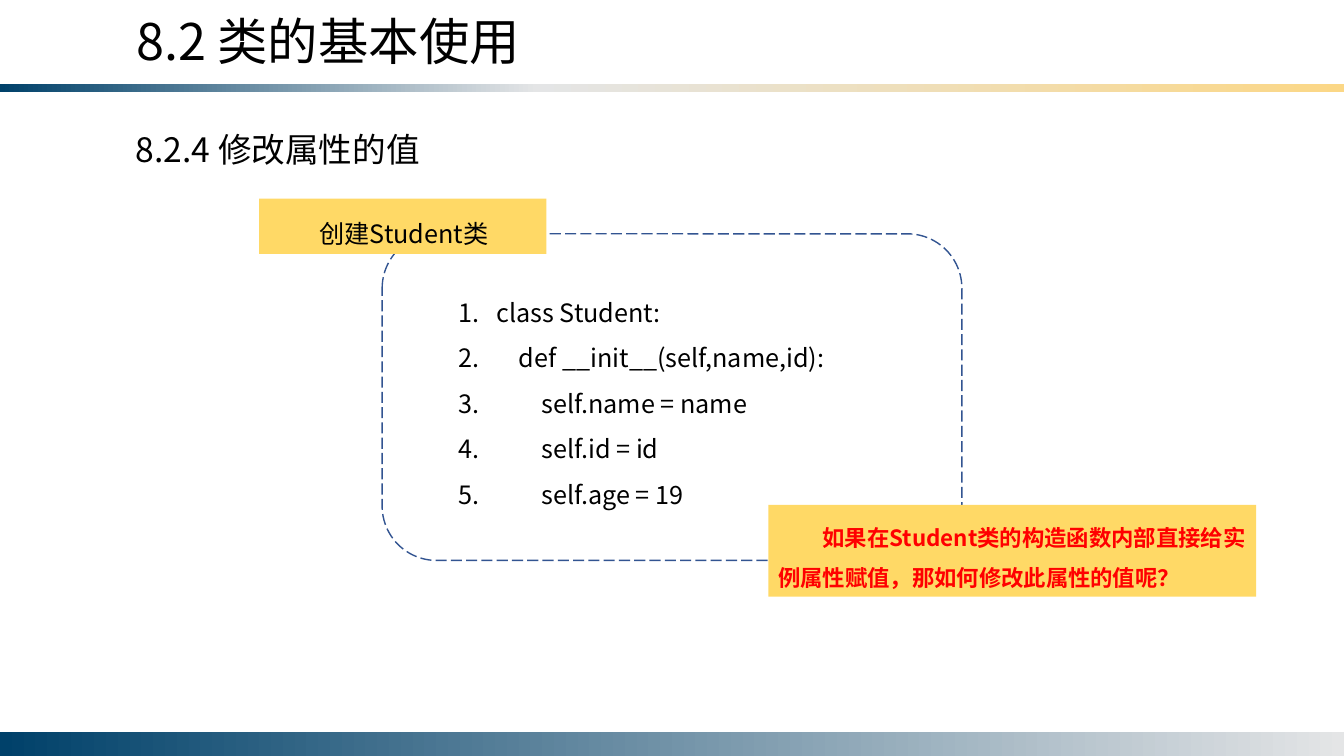
from dataclasses import dataclass

from lxml.etree import SubElement
from pptx import Presentation
from pptx.dml.color import RGBColor
from pptx.enum.dml import MSO_LINE
from pptx.enum.shapes import MSO_SHAPE
from pptx.enum.text import MSO_ANCHOR, MSO_AUTO_SIZE, PP_ALIGN
from pptx.oxml.ns import qn
from pptx.util import Inches, Pt

WIDTH, HEIGHT = 13.33, 7.5
MARGIN = 1.25


@dataclass(frozen=True)
class Theme:
    font: str = "Noto Sans CJK SC"
    ink: str = "000000"
    alert: str = "FF0000"
    label: str = "FFD966"
    outline: str = "325491"
    navy: str = "00416A"
    silver: str = "E4E5E6"
    gold: str = "FBD786"
    title: int = 36
    heading: int = 24
    code: int = 18
    note: int = 16


THEME = Theme()


def place(shape, left, top, width, height):
    shape.left, shape.top = Inches(left), Inches(top)
    shape.width, shape.height = Inches(width), Inches(height)


def set_text(shape, *lines, size, color=THEME.ink, bold=False, spacing=1.0,
             margin=0, indent=0, numbered=False, anchor=MSO_ANCHOR.TOP):
    tf = shape.text_frame
    tf.word_wrap = True
    tf.auto_size = MSO_AUTO_SIZE.NONE
    tf.vertical_anchor = anchor
    for i, line in enumerate(lines):
        p = tf.add_paragraph() if i else tf.paragraphs[0]
        pPr = p._p.get_or_add_pPr()
        pPr.set("marL", str(Inches(margin)))
        pPr.set("indent", str(Inches(indent)))
        if numbered:
            SubElement(pPr, qn("a:buAutoNum"), type="arabicPeriod")
        p.alignment = PP_ALIGN.LEFT
        p.line_spacing = spacing
        p.space_before = p.space_after = Pt(0)
        r = p.add_run()
        r.text = line
        r.font.size, r.font.bold = Pt(size), bold
        r.font.name = THEME.font
        r.font.color.rgb = RGBColor.from_string(color)
        SubElement(r._r.get_or_add_rPr(), qn("a:ea"), typeface=THEME.font)


def add_box(s, kind, box, fill=None):
    sp = s.shapes.add_shape(kind, *map(Inches, box))
    sp.shadow.inherit = False
    sp.line.fill.background()
    if fill:
        sp.fill.solid()
        sp.fill.fore_color.rgb = RGBColor.from_string(fill)
    else:
        sp.fill.background()
    return sp


def add_strip(s, top, height, stops):
    """Full-width band with a left-to-right gradient of (percent, colour) stops."""
    sp = add_box(s, MSO_SHAPE.RECTANGLE, (0, top, WIDTH, height))
    sp.fill.gradient()
    sp.fill.gradient_angle = 0
    gs_list = sp.fill.gradient_stops[0]._gs.getparent()
    for gs in list(gs_list):
        gs_list.remove(gs)
    for percent, color in stops:
        gs = SubElement(gs_list, qn("a:gs"), pos=str(percent * 1000))
        SubElement(gs, qn("a:srgbClr"), val=color)


def add_label(s, box, text, **style):
    sp = add_box(s, MSO_SHAPE.RECTANGLE, box, THEME.label)
    set_text(sp, text, spacing=1.5, anchor=MSO_ANCHOR.MIDDLE, **style)


def add_code_frame(s, box):
    sp = add_box(s, MSO_SHAPE.ROUNDED_RECTANGLE, box)
    sp.line.color.rgb = RGBColor.from_string(THEME.outline)
    sp.line.width = Pt(1)
    sp.line.dash_style = MSO_LINE.LONG_DASH


def main():
    prs = Presentation()
    prs.slide_width, prs.slide_height = Inches(WIDTH), Inches(HEIGHT)
    s = prs.slides.add_slide(prs.slide_layouts[1])
    title, code = s.placeholders

    add_strip(s, 0.83, 0.08,
              [(0, THEME.navy), (40, THEME.silver), (100, THEME.gold)])
    add_strip(s, HEIGHT - 0.24, 0.24, [(0, THEME.navy), (100, THEME.silver)])

    place(title, MARGIN, 0.05, 6.12, 0.71)
    set_text(title, "8.2 类的基本使用", size=THEME.title)
    heading = s.shapes.add_textbox(*map(Inches, (MARGIN, 1.23, 5.16, 0.5)))
    set_text(heading, "8.2.4 修改属性的值", size=THEME.heading)

    place(code, WIDTH / 3, 2.75, WIDTH / 3, 2.37)
    set_text(code,
             "class Student:",
             "    def __init__(self,name,id):",
             "        self.name = name",
             "        self.id = id",
             "        self.age = 19",
             size=THEME.code, spacing=1.5, margin=0.38, indent=-0.38,
             numbered=True)

    add_code_frame(s, (3.79, 2.32, 5.75, 3.24))
    add_label(s, (2.57, 1.97, 2.85, 0.55), "创建Student类",
              size=THEME.code, indent=0.5)
    add_label(s, (7.62, 5.01, 4.84, 0.91),
              "如果在Student类的构造函数内部直接给实例属性赋值，那如何修改此属性的值呢？",
              size=THEME.note, color=THEME.alert, bold=True, indent=0.44)
    prs.save("out.pptx")


if __name__ == "__main__":
    main()
